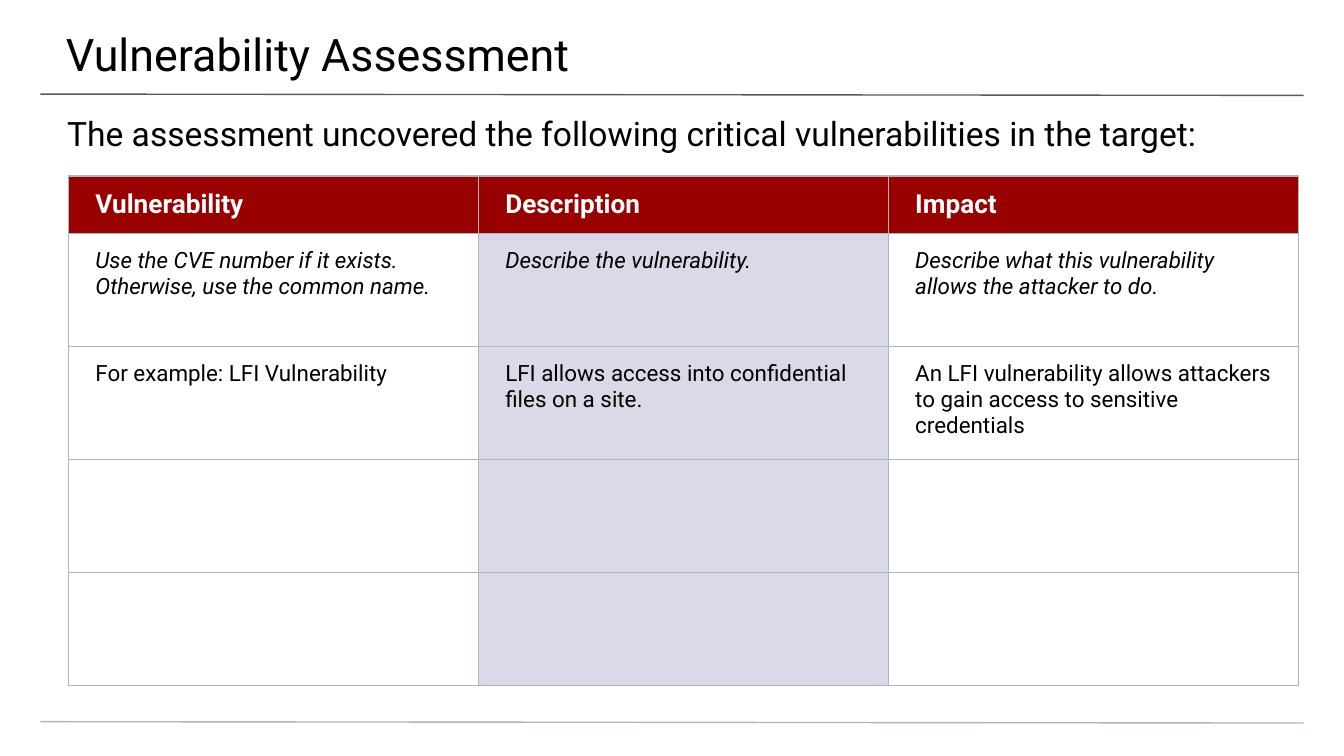
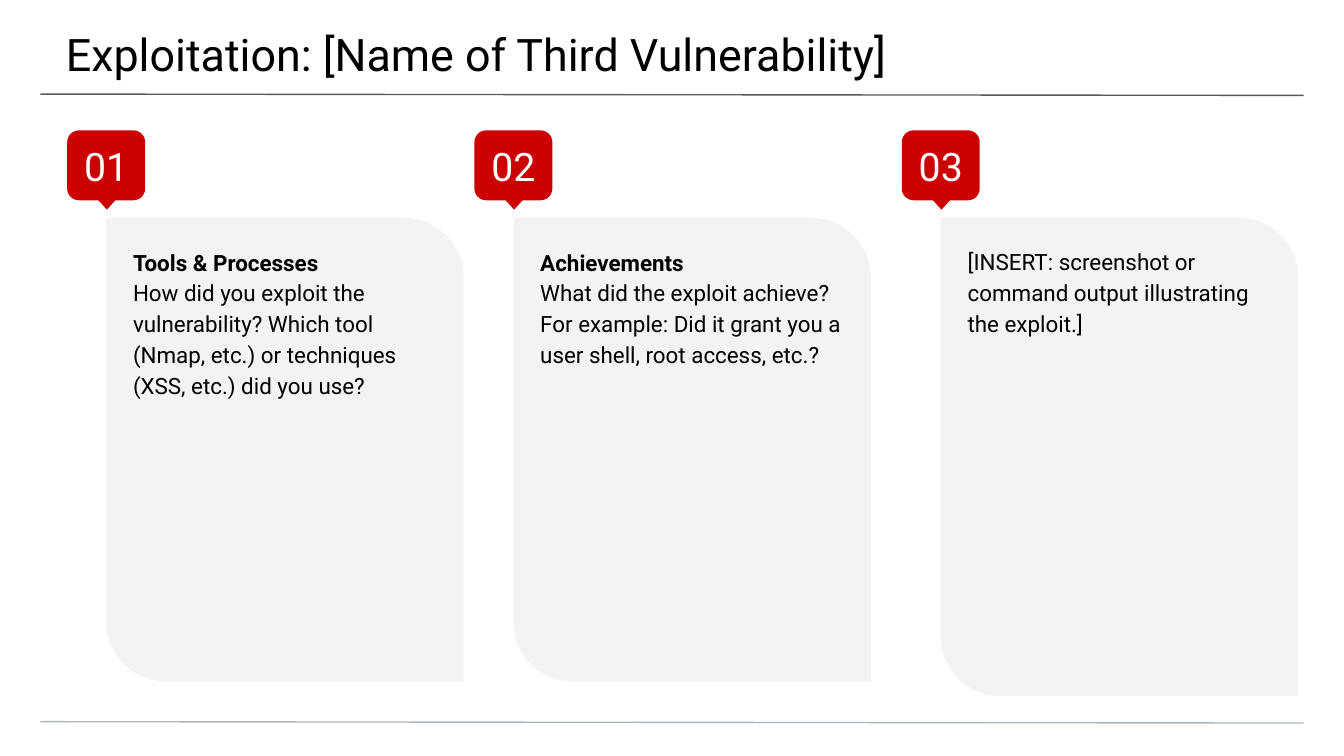
import pptx
import pptx.util
import pptx.oxml
import pptx.dml.color
import pptx.enum.shapes
import pptx.enum.text

Inches, Pt = pptx.util.Inches, pptx.util.Pt
RGBColor = pptx.dml.color.RGBColor
Shape = pptx.enum.shapes.MSO_SHAPE
Anchor = pptx.enum.text.MSO_ANCHOR
Align = pptx.enum.text.PP_ALIGN

BLACK = RGBColor(0x00, 0x00, 0x00)
WHITE = RGBColor(0xFF, 0xFF, 0xFF)
DARK_RED = RGBColor(0x99, 0x00, 0x00)
RED = RGBColor(0xCC, 0x00, 0x00)
LILAC = RGBColor(0xDB, 0xD9, 0xE8)
PALE_GRAY = RGBColor(0xF3, 0xF3, 0xF3)
RULE_GRAY = RGBColor(0x59, 0x59, 0x59)
BLUE_GRAY = RGBColor(0xA9, 0xB7, 0xC0)

TITLE = {"size": Pt(24), "color": BLACK}
SUBTITLE = {"size": Pt(18), "color": BLACK}
HEADER = {"size": Pt(14), "color": WHITE, "bold": True}
BODY = {"size": Pt(12), "color": BLACK, "bold": False}
BOLD = BODY | {"bold": True}
BADGE = {"size": Pt(21), "color": WHITE}
RULES = [(0.7, RULE_GRAY), (5.37, BLUE_GRAY)]
NAMESPACE = 'xmlns:a="http://schemas.openxmlformats.org/drawingml/2006/main"'

deck = pptx.Presentation()
deck.slide_width = Inches(10)
deck.slide_height = deck.slide_width * 9 // 16


def write(holder, paragraphs, insets, align=Align.LEFT, spacing=1.0, anchor=Anchor.TOP):
    """Fill a text frame or cell with (text, format) paragraphs; insets run left, top, right, bottom."""
    holder.vertical_anchor = anchor
    for side, inset in zip(("left", "top", "right", "bottom"), insets):
        setattr(holder, f"margin_{side}", Inches(inset))
    frame = getattr(holder, "text_frame", holder)
    if frame is holder:
        frame.word_wrap = True
        frame.auto_size = pptx.enum.text.MSO_AUTO_SIZE.NONE
    for index, (text, style) in enumerate(paragraphs):
        para = frame.add_paragraph() if index else frame.paragraphs[0]
        para.alignment, para.line_spacing = align, spacing
        span = para.add_run()
        span.text = text
        span.font.name = "Roboto"
        for name, value in style.items():
            if name == "color":
                span.font.color.rgb = value
            else:
                setattr(span.font, name, value)


def add_filled(shapes, kind, bounds, color):
    shape = shapes.add_shape(kind, *map(Inches, bounds))
    shape.shadow.inherit = False
    shape.fill.solid()
    shape.fill.fore_color.rgb = color
    shape.line.fill.background()
    return shape


# Title and rules on both slides
pages = []
for heading in ["Vulnerability Assessment", "Exploitation: [Name of Third Vulnerability]"]:
    page = deck.slides.add_slide(deck.slide_layouts[5])
    title = page.shapes.title
    title.left, title.top, title.width, title.height = map(Inches, (-0.01, 0, 10.03, 0.58))
    write(title.text_frame, [(heading, TITLE)], (0.5, 0.2, 0.3, 0.1))
    for top, color in RULES:
        rule = page.shapes.add_connector(
            pptx.enum.shapes.MSO_CONNECTOR.STRAIGHT,
            *map(Inches, (0.3, top, 9.7, top + 0.01)))
        rule.line.color.rgb = color
        rule.line.width = Pt(0.75)
        rule._element.spPr.append(pptx.oxml.parse_xml(f"<a:effectLst {NAMESPACE}/>"))
    pages.append(page)
assessment, exploitation = pages

# Vulnerability table
subtitle = assessment.shapes.add_textbox(*map(Inches, (0, 0.74, 10, 0.4)))
write(subtitle.text_frame,
      [("The assessment uncovered the following critical vulnerabilities in the target:",
        SUBTITLE)],
      (0.5, 0.1, 0.5, 0))

rows = [
    (["Vulnerability", "Description", "Impact"], HEADER),
    (["Use the CVE number if it exists. Otherwise, use the common name.",
      "Describe the vulnerability.",
      "Describe what this vulnerability allows the attacker to do."],
     BODY | {"italic": True}),
    (["For example: LFI Vulnerability",
      "LFI allows access into confidential files on a site.",
      "An LFI vulnerability allows attackers to gain access to sensitive credentials"], BODY),
    ([""] * 3, BODY),
    ([""] * 3, BODY),
]
table = assessment.shapes.add_table(
    len(rows), 3, *map(Inches, (0.51, 1.31, 9.15, 3.79))).table
table.horz_banding = False
for column in table.columns:
    column.width = Inches(3.05)
for row_index, (texts, style) in enumerate(rows):
    is_header = row_index == 0
    table.rows[row_index].height = Inches(0.43 if is_header else 0.84)
    for column_index, text in enumerate(texts):
        cell = table.cell(row_index, column_index)
        cell_properties = cell._tc.get_or_add_tcPr()
        for edge in ("lnL", "lnR", "lnT", "lnB"):
            cell_properties.append(pptx.oxml.parse_xml(
                f'<a:{edge} {NAMESPACE} w="{Pt(0.75)}"><a:solidFill>'
                f'<a:srgbClr val="{BLUE_GRAY}"/></a:solidFill></a:{edge}>'))
        if is_header or column_index == 1:
            cell.fill.solid()
            cell.fill.fore_color.rgb = DARK_RED if is_header else LILAC
        else:
            cell.fill.background()
        write(cell, [(text, style)] if text else [], (0.2, 0.1, 0.2, 0.1),
              anchor=Anchor.MIDDLE if is_header else Anchor.TOP)

# Numbered exploitation panels
panels = [
    (0.5, 3.45, [("Tools & Processes", BOLD),
                 ("How did you exploit the vulnerability? Which tool (Nmap, etc.) "
                  "or techniques (XSS, etc.) did you use?", BODY)]),
    (3.53, 3.45, [("Achievements", BOLD),
                  ("What did the exploit achieve? For example: Did it grant you a "
                   "user shell, root access, etc.?", BODY)]),
    (6.71, 3.56, [("[INSERT: screenshot or command output illustrating the exploit.]", BODY)]),
]
for number, (left, height, paragraphs) in enumerate(panels, 1):
    bounds = (left + 0.29, 1.62, 2.66, height)
    panel = add_filled(exploitation.shapes, Shape.ROUND_2_DIAG_RECTANGLE, bounds, PALE_GRAY)
    panel.adjustments[0], panel.adjustments[1] = 0, 0.167
    box = exploitation.shapes.add_textbox(*map(Inches, bounds))
    write(box.text_frame, paragraphs, [0.2] * 4, spacing=1.15)

    marker = exploitation.shapes.add_group_shape()
    badge = add_filled(marker.shapes, Shape.ROUNDED_RECTANGLE, (left, 0.97, 0.58, 0.52), RED)
    badge.adjustments[0] = 0.167
    write(badge.text_frame, [(f"{number:02}", BADGE)], [0.1] * 4,
          align=Align.CENTER, anchor=Anchor.MIDDLE)
    pointer = add_filled(marker.shapes, Shape.FLOWCHART_EXTRACT,
                         (left + 0.15, 1.4, 0.29, 0.16), RED)
    pointer.rotation = 180

deck.save("out.pptx")
